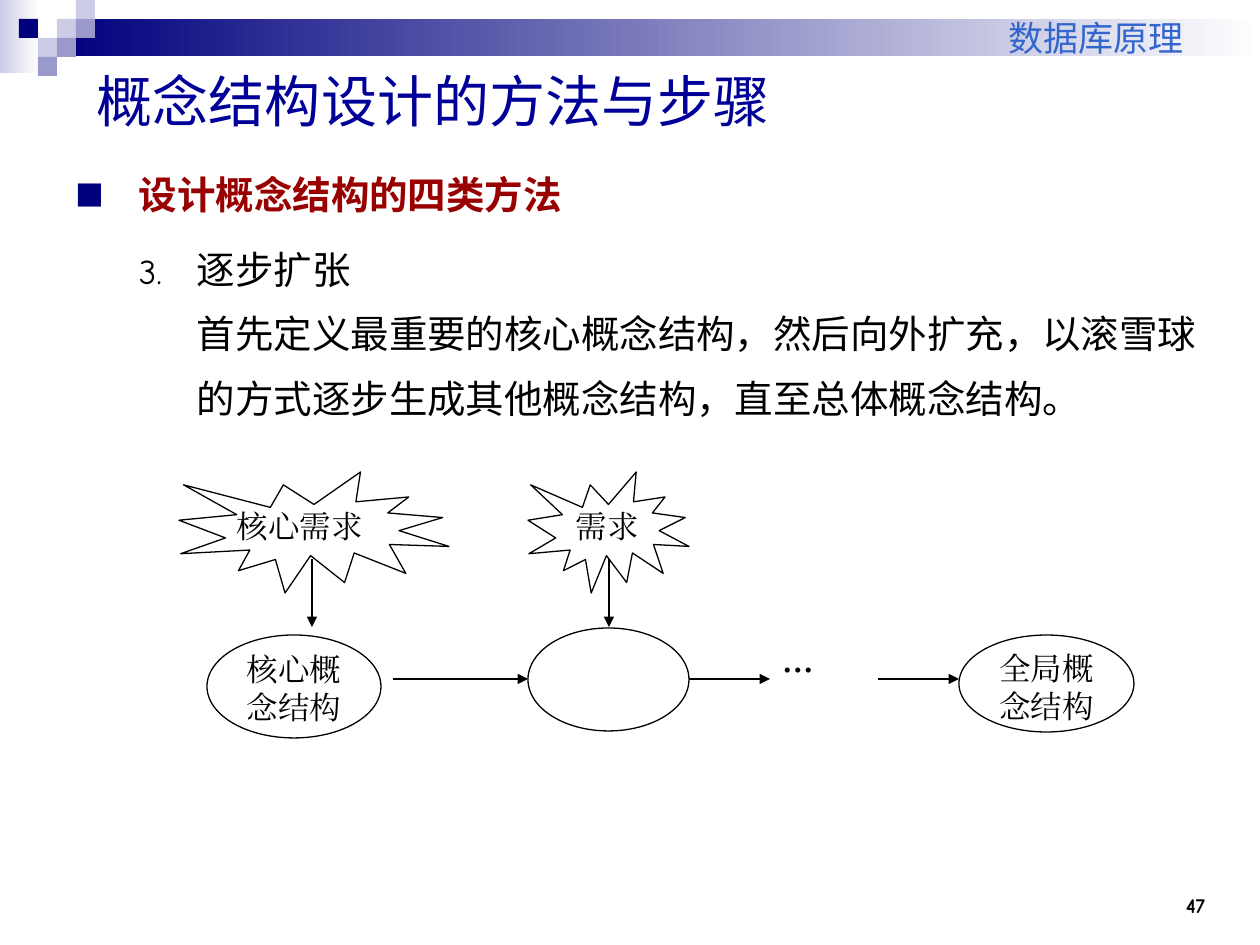
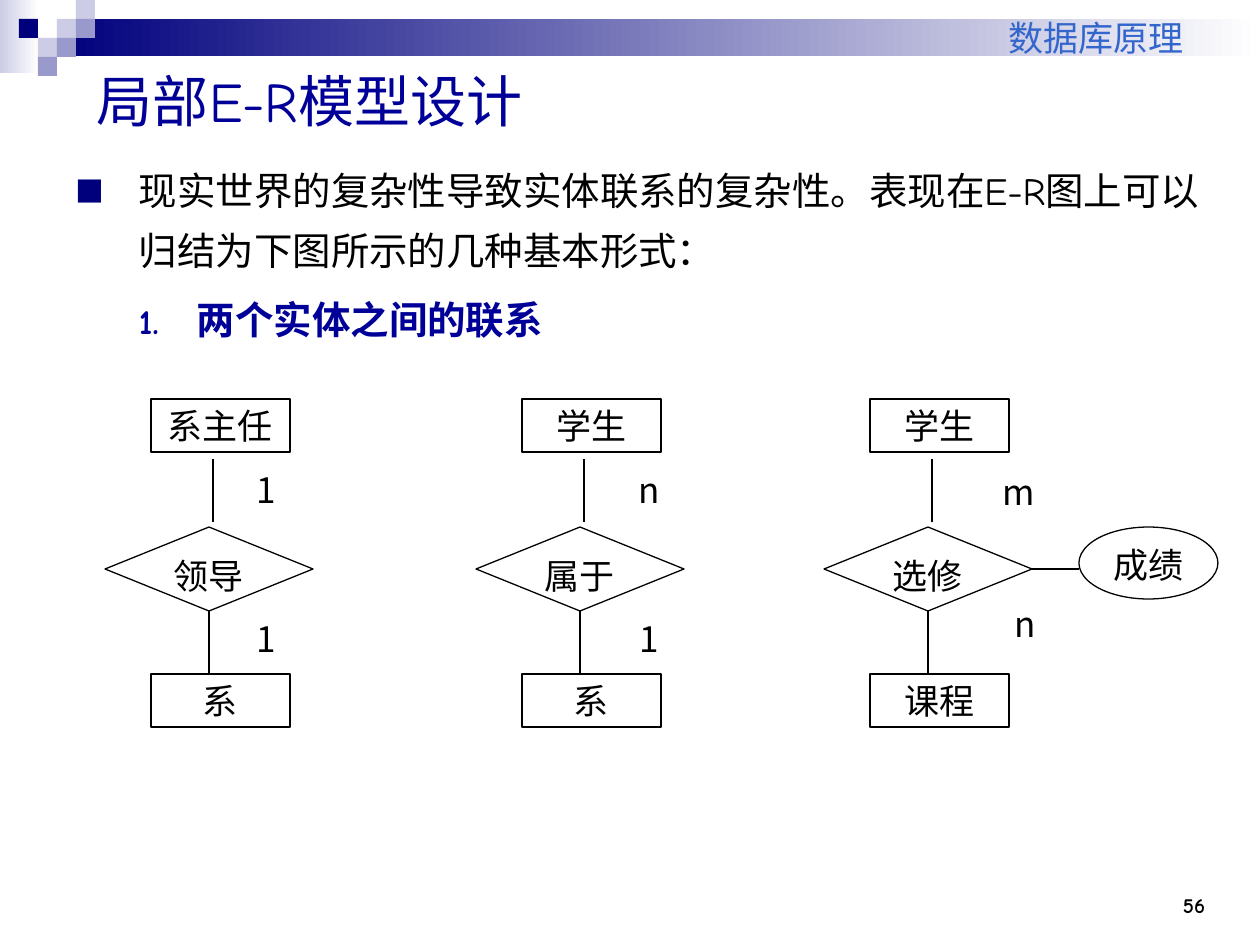
from lxml import etree
from pptx import Presentation, util as u
from pptx.dml.color import RGBColor
from pptx.enum import shapes, text
from pptx.oxml import ns

PX = 914400 / 126  # EMU in one px
WIDTH, HEIGHT = 1260, 945
SHAPE = shapes.MSO_SHAPE
LEFT, CENTER, RIGHT = text.PP_ALIGN.LEFT, text.PP_ALIGN.CENTER, text.PP_ALIGN.RIGHT
TOP, MIDDLE, BOTTOM = text.MSO_ANCHOR.TOP, text.MSO_ANCHOR.MIDDLE, text.MSO_ANCHOR.BOTTOM

# Shared look
NAVY, LILAC, VIOLET, WHITE, BLACK = "00007D", "CCCCE6", "9999CC", "FFFFFF", "000000"
BLUE, RED = "000099", "990000"
HEADING_FONT, CJK_FONT, SERIF_FONT = "Comic Neue", "Noto Sans CJK SC", "Times New Roman"
TITLE = dict(size=32, name=HEADING_FONT, color=BLUE)
COURSE = dict(size=20, name=HEADING_FONT, color="3366CC")
NUMBER = dict(size=12, name=HEADING_FONT, color=BLACK, bold=True)
BODY = dict(size=22, name=HEADING_FONT, color=BLACK)
FLOW = dict(size=18, name=SERIF_FONT, color=BLACK)
DOTS = dict(size=18, name=CJK_FONT, color=BLACK, bold=True)
ENTITY = dict(size=20, name=CJK_FONT, color=BLACK)
INSETS = (13, 6, 13, 6)
NO_INSETS = (0, 0, 0, 0)

# Header band: gradient bars, then squares on a grid
BARS = [((0, 0, 39, 73), LILAC), ((57, 19, 1203, 37), NAVY)]
CELL = 19
SQUARES = [(3, 1, LILAC), (4, 0, LILAC), (4, 1, VIOLET), (2, 2, LILAC),
           (1, 1, NAVY), (3, 2, VIOLET), (2, 3, VIOLET)]
COURSE_NAME = "数据库原理"

# Body levels: (left margin, hanging indent, bullet size %)
LEVELS = [(63, 63, 75), (121, 58, 90)]

# Slide contents; body items: text, level, start number, bullet colour, format
SNOWBALL = dict(
    title="概念结构设计的方法与步骤", number="47", spacing=1.4,
    body=[
        ("设计概念结构的四类方法", 0, None, NAVY, dict(color=RED, bold=True)),
        ("逐步扩张\v首先定义最重要的核心概念结构，然后向外扩充，以滚雪球的方式"
         "逐步生成其他概念结构，直至总体概念结构。", 1, 3, BLACK, {}),
    ])
RELATIONS = dict(
    title="局部E-R模型设计", number="56", spacing=1.3,
    body=[
        ("现实世界的复杂性导致实体联系的复杂性。表现在E-R图上可以归结为"
         "下图所示的几种基本形式：", 0, None, NAVY, {}),
        ("两个实体之间的联系", 1, 1, BLUE, dict(color=BLUE, bold=True)),
    ])

# Snowball flow: (preset, text, box, alignment)
FLOW_NODES = [
    (SHAPE.EXPLOSION1, "核心需求", (179, 472, 270, 121), LEFT),
    (SHAPE.EXPLOSION1, "需求", (528, 472, 161, 121), CENTER),
    (SHAPE.OVAL, "核心概念结构", (207, 635, 174, 103), CENTER),
    (SHAPE.OVAL, "", (528, 628, 161, 103), CENTER),
    (SHAPE.OVAL, "全局概念结构", (959, 635, 175, 97), CENTER),
]
DOTS_BOX = (770, 645, 81, 52)
DOWN_ARROWS = [312, 609]
DOWN_FROM, DOWN_TO = 559, 627
RIGHT_ARROWS = [(393, 528), (689, 770), (878, 959)]
RIGHT_Y = 679

# E-R columns: diamond left, entities and relation, labels as (text, box, alignment)
ER_COLUMNS = [
    (105, ("系主任", "领导", "系"),
     [("1", (244, 462, 90, 54), LEFT), ("1", (244, 611, 90, 54), LEFT)]),
    (476, ("学生", "属于", "系"),
     [("n", (615, 462, 69, 54), CENTER), ("1", (615, 611, 69, 54), CENTER)]),
    (824, ("学生", "选修", "课程"),
     [("m", (990, 465, 68, 66), LEFT), ("n", (1002, 596, 69, 54), LEFT)]),
]
DIAMOND_Y, DIAMOND_W, DIAMOND_H = 527, 208, 84
ENTITY_SHIFT, ENTITY_W, ENTITY_H = 46, 139, 53
ENTITY_YS = (399, 674)
UPPER_LINE_SHIFT, UPPER_LINE_FROM, UPPER_LINE_TO = 4, 459, 522
GRADE, GRADE_BOX = "成绩", (1079, 527, 139, 72)


def emu(*lengths):
    return [u.Emu(round(length * PX)) for length in lengths]


def rgb(value):
    return RGBColor.from_string(value)


def sub(parent, tag, **attributes):
    return etree.SubElement(parent, ns.qn(tag), attributes)


def write(paragraph, content, style):
    """Fill a paragraph and give every run the same format."""
    paragraph.text = content
    values = dict(style, size=u.Pt(style["size"]))
    color = values.pop("color")
    for run in paragraph.runs:
        for key, value in values.items():
            setattr(run.font, key, value)
        run.font.color.rgb = rgb(color)
        properties = run._r.get_or_add_rPr()
        properties.set("lang", "zh-CN")
        sub(properties, "a:ea", typeface=style["name"])


def set_frame(shape, anchor=TOP, insets=INSETS):
    frame = shape.text_frame
    left, top, right, bottom = emu(*insets)
    settings = dict(word_wrap=True, vertical_anchor=anchor, margin_left=left,
                    margin_top=top, margin_right=right, margin_bottom=bottom)
    for key, value in settings.items():
        setattr(frame, key, value)
    return frame


def add_text(slide, content, box, style, align=LEFT, anchor=TOP, insets=INSETS):
    shape = slide.shapes.add_textbox(*emu(*box))
    paragraph = set_frame(shape, anchor, insets).paragraphs[0]
    paragraph.alignment = align
    write(paragraph, content, style)


def add_block(slide, preset, box, fill=WHITE, line=None):
    shape = slide.shapes.add_shape(preset, *emu(*box))
    shape.shadow.inherit = False
    shape.fill.solid()
    shape.fill.fore_color.rgb = rgb(fill)
    if line:
        shape.line.color.rgb = rgb(line)
        shape.line.width = u.Pt(0.75)
    else:
        shape.line.fill.background()
    return shape


def add_node(slide, preset, content, box, style, align=CENTER, insets=INSETS, line=BLACK):
    shape = add_block(slide, preset, box, line=line)
    if content:
        paragraph = set_frame(shape, insets=insets).paragraphs[0]
        paragraph.alignment = align
        write(paragraph, content, style)
    return shape


def add_line(slide, start, end, arrow=False):
    line = slide.shapes.add_connector(shapes.MSO_CONNECTOR.STRAIGHT, *emu(*start, *end))
    line.line.color.rgb = rgb(BLACK)
    line.line.width = u.Pt(0.75)
    if arrow:
        sub(line.line._get_or_add_ln(), "a:tailEnd", type="triangle")
    sub(line._element.spPr, "a:effectLst")
    return line


def add_body(slide, items, spacing):
    frame = set_frame(slide.shapes.add_textbox(*emu(63, 147, 1155, 735)))
    for index, (content, level, start, bullet_color, changes) in enumerate(items):
        paragraph = frame.add_paragraph() if index else frame.paragraphs[0]
        margin, hanging, bullet_size = LEVELS[level]
        properties = paragraph._p.get_or_add_pPr()
        properties.set("marL", str(emu(margin)[0]))
        properties.set("indent", str(-emu(hanging)[0]))
        sub(sub(properties, "a:buClr"), "a:srgbClr", val=bullet_color)
        sub(properties, "a:buSzPct", val=str(bullet_size * 1000))
        sub(properties, "a:buFont", typeface=CJK_FONT)
        if start:
            sub(properties, "a:buAutoNum", type="arabicPeriod", startAt=str(start))
        else:
            sub(properties, "a:buChar", char="■")
        paragraph.level = level
        paragraph.line_spacing = spacing
        paragraph.space_before = u.Pt(5.5 if index else 0)
        write(paragraph, content, {**BODY, **changes})


def add_base_slide(presentation, content):
    """Add a slide with the header band, title, number and body text."""
    slide = presentation.slides.add_slide(presentation.slide_layouts[6])
    for box, color in BARS:
        fill = add_block(slide, SHAPE.RECTANGLE, box).fill
        fill.gradient()
        fill.gradient_angle = 0
        for stop, stop_color, position in zip(fill.gradient_stops, (color, WHITE), (0, 1)):
            stop.color.rgb = rgb(stop_color)
            stop.position = position
    for column, row, color in SQUARES:
        add_block(slide, SHAPE.RECTANGLE, (column * CELL, row * CELL, CELL, CELL), color)
    add_text(slide, content["number"], (1113, 861, 105, 63), NUMBER, RIGHT, BOTTOM)
    add_text(slide, COURSE_NAME, (482, 0, 746, 65), COURSE, RIGHT, BOTTOM, (13, 6, 44, 6))
    add_text(slide, content["title"], (84, 53, 1134, 94), TITLE, anchor=MIDDLE)
    add_body(slide, content["body"], content["spacing"])
    return slide


def draw_snowball(slide):
    for preset, content, box, align in FLOW_NODES:
        add_node(slide, preset, content, box, FLOW, align, NO_INSETS)
    add_node(slide, SHAPE.RECTANGLE, "…", DOTS_BOX, DOTS, LEFT, line=None)
    for x in DOWN_ARROWS:
        add_line(slide, (x, DOWN_FROM), (x, DOWN_TO), arrow=True)
    for start, end in RIGHT_ARROWS:
        add_line(slide, (start, RIGHT_Y), (end, RIGHT_Y), arrow=True)


def draw_relations(slide):
    for left, (upper, relation, lower), labels in ER_COLUMNS:
        for content, y in zip((upper, lower), ENTITY_YS):
            add_node(slide, SHAPE.RECTANGLE, content,
                     (left + ENTITY_SHIFT, y, ENTITY_W, ENTITY_H), ENTITY)
        diamond = add_node(slide, SHAPE.DIAMOND, relation,
                           (left, DIAMOND_Y, DIAMOND_W, DIAMOND_H), ENTITY)
        for content, box, align in labels:
            add_node(slide, SHAPE.RECTANGLE, content, box, ENTITY, align, line=None)
        middle = left + DIAMOND_W // 2
        upper_x = middle + UPPER_LINE_SHIFT
        add_line(slide, (upper_x, UPPER_LINE_FROM), (upper_x, UPPER_LINE_TO))
        lower_line = add_line(slide, (middle, DIAMOND_Y + DIAMOND_H), (middle, ENTITY_YS[1]))
        lower_line.begin_connect(diamond, 2)
    # The last relation carries an attribute
    add_node(slide, SHAPE.OVAL, GRADE, GRADE_BOX, ENTITY)
    y = DIAMOND_Y + DIAMOND_H // 2
    add_line(slide, (left + DIAMOND_W, y), (GRADE_BOX[0], y)).begin_connect(diamond, 3)


def main():
    presentation = Presentation()
    presentation.slide_width, presentation.slide_height = emu(WIDTH, HEIGHT)
    draw_snowball(add_base_slide(presentation, SNOWBALL))
    draw_relations(add_base_slide(presentation, RELATIONS))
    presentation.save("out.pptx")


if __name__ == "__main__":
    main()
